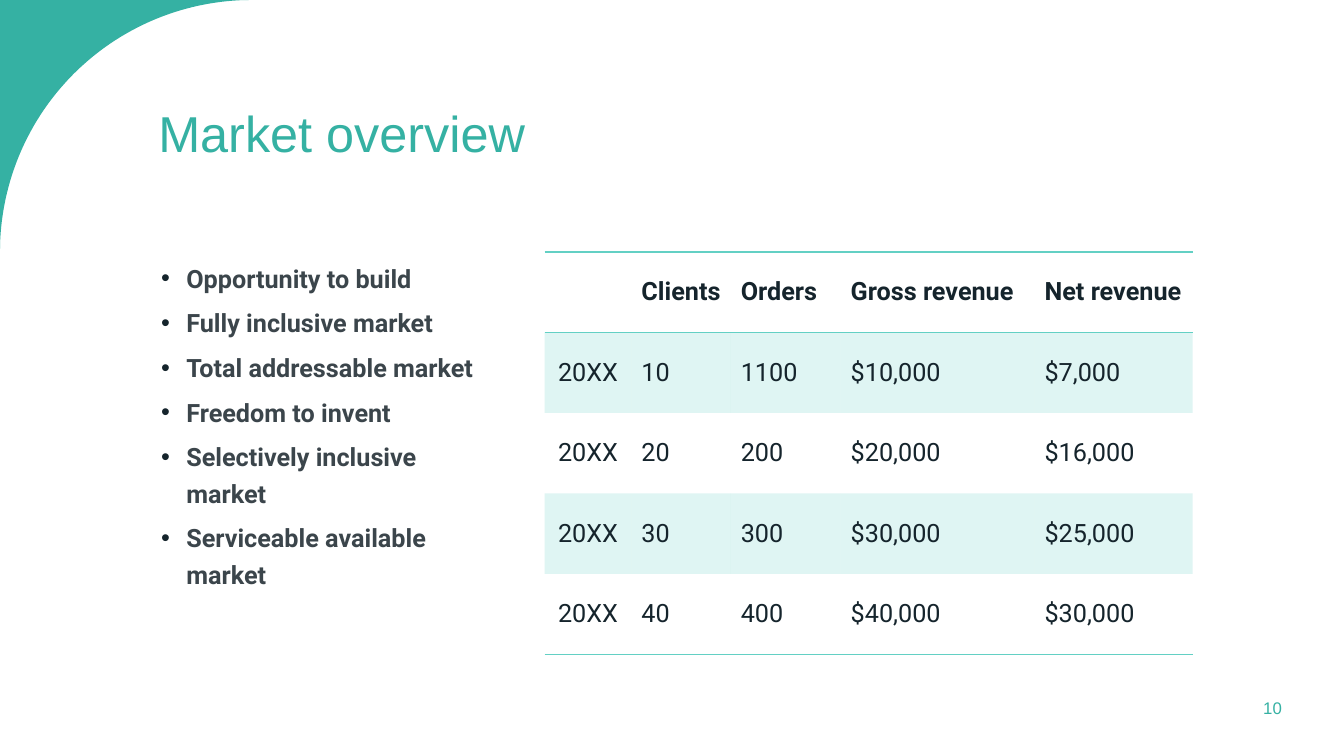
from math import cos, pi, sin
from lxml.etree import SubElement
from pptx import Presentation
from pptx.dml.color import RGBColor
from pptx.enum.text import MSO_ANCHOR as Anchor, PP_ALIGN as Align
from pptx.oxml.ns import qn
from pptx.util import Pt

# Content
TITLE = "Market overview"
PAGE = "10"
BULLETS = [
    "Opportunity to build",
    "Fully inclusive market",
    "Total addressable market",
    "Freedom to invent",
    "Selectively inclusive market",
    "Serviceable available market",
]
ROWS = [
    ("", "Clients", "Orders", "Gross revenue", "Net revenue"),
    ("20XX", "10", "1100", "$10,000", "$7,000"),
    ("20XX", "20", "200", "$20,000", "$16,000"),
    ("20XX", "30", "300", "$30,000", "$25,000"),
    ("20XX", "40", "400", "$40,000", "$30,000"),
]

# Formats
TEAL, MINT, INK, GREY = "35B1A3", "63D0C4", "15242C", "3B454B"
TITLE_FONT = dict(name="Arial", size=Pt(36), color=TEAL)
PAGE_FONT = dict(name="Arial", size=Pt(12), color=TEAL)
BULLET_FONT = dict(name="Roboto", size=Pt(18), bold=True, color=GREY)
CELL_FONT = dict(name="Roboto", size=Pt(18), bold=False, color=INK)
HEAD_FONT = dict(CELL_FONT, bold=True)

# Layout in points
COL_WIDTHS = (62, 71, 78.5, 138.5, 113)
ROW_HEIGHT = 57.5
CORNER, ARC_STEPS = 180, 60
NO_STYLE = "{2D5ABB26-0587-4C30-8999-92F81FD0307C}"


def rgb(value):
    return RGBColor.from_string(value)


def write(p, text, font):
    r = p.add_run()
    r.text = text
    for key, value in font.items():
        if key == "color":
            r.font.color.rgb = rgb(value)
        else:
            setattr(r.font, key, value)


def add_text(s, box, lines, font, anchor, **para):
    tf = s.shapes.add_textbox(*map(Pt, box)).text_frame
    tf.word_wrap = True
    tf.vertical_anchor = anchor
    for i, line in enumerate(lines):
        p = tf.add_paragraph() if i else tf.paragraphs[0]
        for key, value in para.items():
            setattr(p, key, value)
        write(p, line, font)
    return tf


def add_color(parent, value):
    SubElement(SubElement(parent, qn("a:solidFill")), qn("a:srgbClr"), val=value)


def add_bullet(p):
    pPr = p._p.get_or_add_pPr()
    pPr.set("marL", str(Pt(18)))
    pPr.set("indent", str(-Pt(18)))
    color = SubElement(pPr, qn("a:buClr"))
    SubElement(color, qn("a:srgbClr"), val=INK)
    SubElement(pPr, qn("a:buFont"), typeface="Arial")
    SubElement(pPr, qn("a:buChar"), char="•")


def add_border(cell, side):
    line = SubElement(cell._tc.get_or_add_tcPr(), qn("a:" + side), w=str(Pt(1)))
    add_color(line, MINT)


def shade(cell):
    cell.fill.solid()
    cell.fill.fore_color.rgb = rgb(MINT)
    color = cell._tc.tcPr.find(qn("a:solidFill")).find(qn("a:srgbClr"))
    SubElement(color, qn("a:alpha"), val="20000")


def add_corner(s):
    angles = [pi / 2 * i / ARC_STEPS for i in range(ARC_STEPS + 1)]
    arc = [(Pt(CORNER * (1 - sin(a))), Pt(CORNER * (1 - cos(a)))) for a in angles]
    builder = s.shapes.build_freeform(0, 0)
    builder.add_line_segments(arc, close=True)
    sp = builder.convert_to_shape()
    sp.shadow.inherit = False
    sp.fill.solid()
    sp.fill.fore_color.rgb = rgb(TEAL)
    sp.line.fill.background()


def add_market_table(s):
    size = sum(COL_WIDTHS), ROW_HEIGHT * len(ROWS)
    frame = s.shapes.add_table(
        len(ROWS), len(COL_WIDTHS), *map(Pt, (389, 180, *size)))
    table = frame.table
    table.horz_banding = False
    table._tbl.tblPr.find(qn("a:tableStyleId")).text = NO_STYLE
    for column, width in zip(table.columns, COL_WIDTHS):
        column.width = Pt(width)
    for i, values in enumerate(ROWS):
        table.rows[i].height = Pt(ROW_HEIGHT)
        for j, value in enumerate(values):
            cell = table.cell(i, j)
            cell.vertical_anchor = Anchor.MIDDLE
            p = cell.text_frame.paragraphs[0]
            if value:
                write(p, value, CELL_FONT if i else HEAD_FONT)
            if j == 0:
                p.alignment = Align.CENTER
            if i == 0:
                add_border(cell, "lnT")
            if i in (0, len(ROWS) - 1):
                add_border(cell, "lnB")
            if i % 2:
                shade(cell)
            else:
                cell.fill.background()


def main():
    prs = Presentation()
    prs.slide_width, prs.slide_height = Pt(960), Pt(540)
    s = prs.slides.add_slide(prs.slide_layouts[6])
    add_corner(s)
    add_text(s, (106, 27.5, 803.5, 139), [TITLE], TITLE_FONT, Anchor.MIDDLE,
             line_spacing=0.9)
    tf = add_text(s, (108, 180, 250.5, 287.5), BULLETS, BULLET_FONT, Anchor.TOP,
                  line_spacing=1.2, space_after=Pt(6))
    for p in tf.paragraphs:
        add_bullet(p)
    add_market_table(s)
    add_text(s, (858, 471, 102, 69), [PAGE], PAGE_FONT, Anchor.MIDDLE,
             alignment=Align.CENTER)
    prs.save("out.pptx")


if __name__ == "__main__":
    main()
